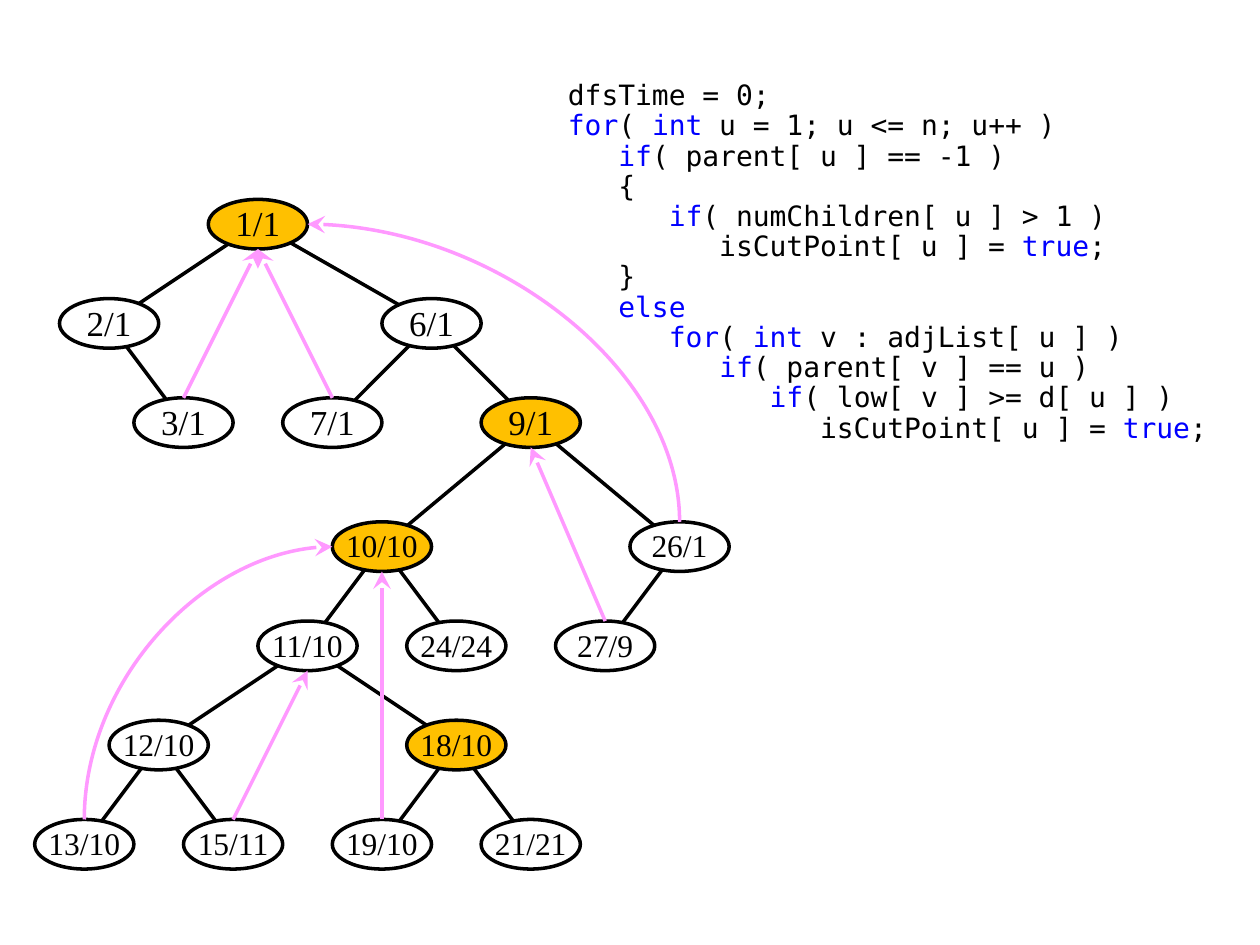
import pptx
import pptx.dml.color
import pptx.enum.shapes
import pptx.enum.text
import pptx.oxml
import pptx.oxml.ns
import pptx.util
from pptx.util import Cm

COLORS = {"ink": "000000", "keyword": "0000FF", "paper": "FFFFFF",
          "cut": "FFC000", "back": "FF99FF"}

CODE = [
    "dfsTime = 0;",
    "|for|( |int| u = 1; u <= n; u++ )",
    "   |if|( parent[ u ] == -1 )",
    "   {",
    "      |if|( numChildren[ u ] > 1 )",
    "         isCutPoint[ u ] = |true|;",
    "   }",
    "|   else|",
    "      |for|( |int| v : adjList[ u ] )",
    "         |if|( parent[ v ] == u )",
    "            |if|( low[ v ] >= d[ u ] )",
    "               isCutPoint[ u ] = |true|;",
]

LEVELS = [
    (4.52, {"1/1": 5.2}),
    (6.52, {"2/1": 2.2, "6/1": 8.7}),
    (8.52, {"3/1": 3.7, "7/1": 6.7, "9/1": 10.7}),
    (11.02, {"10/10": 7.7, "26/1": 13.7}),
    (13.02, {"11/10": 6.2, "24/24": 9.2, "27/9": 12.2}),
    (15.02, {"12/10": 3.2, "18/10": 9.2}),
    (17.02, {"13/10": 1.7, "15/11": 4.7, "19/10": 7.7, "21/21": 10.7}),
]
CHILDREN = {
    "1/1": ["2/1", "6/1"], "2/1": ["3/1"], "6/1": ["7/1", "9/1"],
    "9/1": ["10/10", "26/1"], "10/10": ["11/10", "24/24"], "26/1": ["27/9"],
    "11/10": ["12/10", "18/10"], "12/10": ["13/10", "15/11"],
    "18/10": ["19/10", "21/21"],
}
CUT_POINTS = {"1/1", "9/1", "10/10", "18/10"}
BACK_EDGES = [("3/1", "1/1"), ("7/1", "1/1"), ("27/9", "9/1"),
              ("19/10", "10/10"), ("15/11", "11/10")]
CURVED_BACK_EDGES = [("26/1", "1/1"), ("13/10", "10/10")]

NODE_W, NODE_H = 2, 1
CENTERS = {label: (x, y) for y, row in LEVELS for label, x in row.items()}


def rgb(name):
    return pptx.dml.color.RGBColor.from_string(COLORS[name])


def element(tag, **attributes):
    made = pptx.oxml.parse_xml(f"<a:{tag} {pptx.oxml.ns.nsdecls('a')}/>")
    for key, value in attributes.items():
        made.set(key, value)
    return made


def write(paragraph, text, font, size, align=None, spacing=None):
    paragraph.alignment = align
    paragraph.line_spacing = spacing
    for index, part in enumerate(text.split("|")):
        if not part:
            continue
        run = paragraph.add_run()
        run.text = part
        run.font.name = font
        run.font.size = pptx.util.Pt(size)
        run.font.color.rgb = rgb("keyword" if index % 2 else "ink")


def add_edge(start, end, color="ink", arrow=False):
    edge = slide.shapes.add_connector(
        pptx.enum.shapes.MSO_CONNECTOR.STRAIGHT, *(Cm(v) for v in start + end))
    edge.line.color.rgb = rgb(color)
    edge.line.width = pptx.util.Pt(2)
    if arrow:
        edge.line._ln.append(element("tailEnd", type="stealth", w="lg", len="lg"))
    edge._element.spPr.append(element("effectLst"))
    return edge


def add_curved_edge(start, end):
    edge = add_edge(start, end, "back", arrow=True)
    across, up = abs(end[0] - start[0]), abs(end[1] - start[1])
    edge.left = Cm((start[0] + end[0] - up) / 2)
    edge.top = Cm((start[1] + end[1] - across) / 2)
    edge.width, edge.height = Cm(up), Cm(across)
    properties = edge._element.spPr
    frame = properties.find(pptx.oxml.ns.qn("a:xfrm"))
    frame.set("rot", str(270 * 60000))
    frame.set("flipH", "0")
    frame.set("flipV", "1" if end[0] < start[0] else "0")
    properties.find(pptx.oxml.ns.qn("a:prstGeom")).set("prst", "curvedConnector2")


def add_node(label, x, y):
    node = slide.shapes.add_shape(
        pptx.enum.shapes.MSO_SHAPE.OVAL, Cm(x - NODE_W / 2), Cm(y - NODE_H / 2),
        Cm(NODE_W), Cm(NODE_H))
    node.shadow.inherit = False
    node.fill.solid()
    node.fill.fore_color.rgb = rgb("cut" if label in CUT_POINTS else "paper")
    node.line.color.rgb = rgb("ink")
    node.line.width = pptx.util.Pt(2)
    frame = node.text_frame
    frame.word_wrap = False
    frame.vertical_anchor = pptx.enum.text.MSO_ANCHOR.MIDDLE
    frame.margin_top, frame.margin_bottom = Cm(0.1), Cm(0.15)
    write(frame.paragraphs[0], label, "Times New Roman", 20 if len(label) == 3 else 18,
          align=pptx.enum.text.PP_ALIGN.CENTER)


deck = pptx.Presentation()
deck.slide_width, deck.slide_height = Cm(25.4), Cm(19.05)
slide = deck.slides.add_slide(deck.slide_layouts[6])

code = slide.shapes.add_textbox(Cm(11.2), Cm(1.52), Cm(13.5), Cm(8)).text_frame
code.word_wrap = False
for number, line in enumerate(CODE):
    paragraph = code.add_paragraph() if number else code.paragraphs[0]
    write(paragraph, line, "DejaVu Sans Mono", 16, spacing=0.9)

for parent, children in CHILDREN.items():
    for child in children:
        add_edge(CENTERS[parent], CENTERS[child])

for label, center in CENTERS.items():
    add_node(label, *center)

for source, target in BACK_EDGES:
    (x1, y1), (x2, y2) = CENTERS[source], CENTERS[target]
    add_edge((x1, y1 - NODE_H / 2), (x2, y2 + NODE_H / 2), "back", arrow=True)

for source, target in CURVED_BACK_EDGES:
    (x1, y1), (x2, y2) = CENTERS[source], CENTERS[target]
    side = NODE_W / 2 if x1 > x2 else -NODE_W / 2
    add_curved_edge((x1, y1 - NODE_H / 2), (x2 + side, y2))

deck.save("out.pptx")
